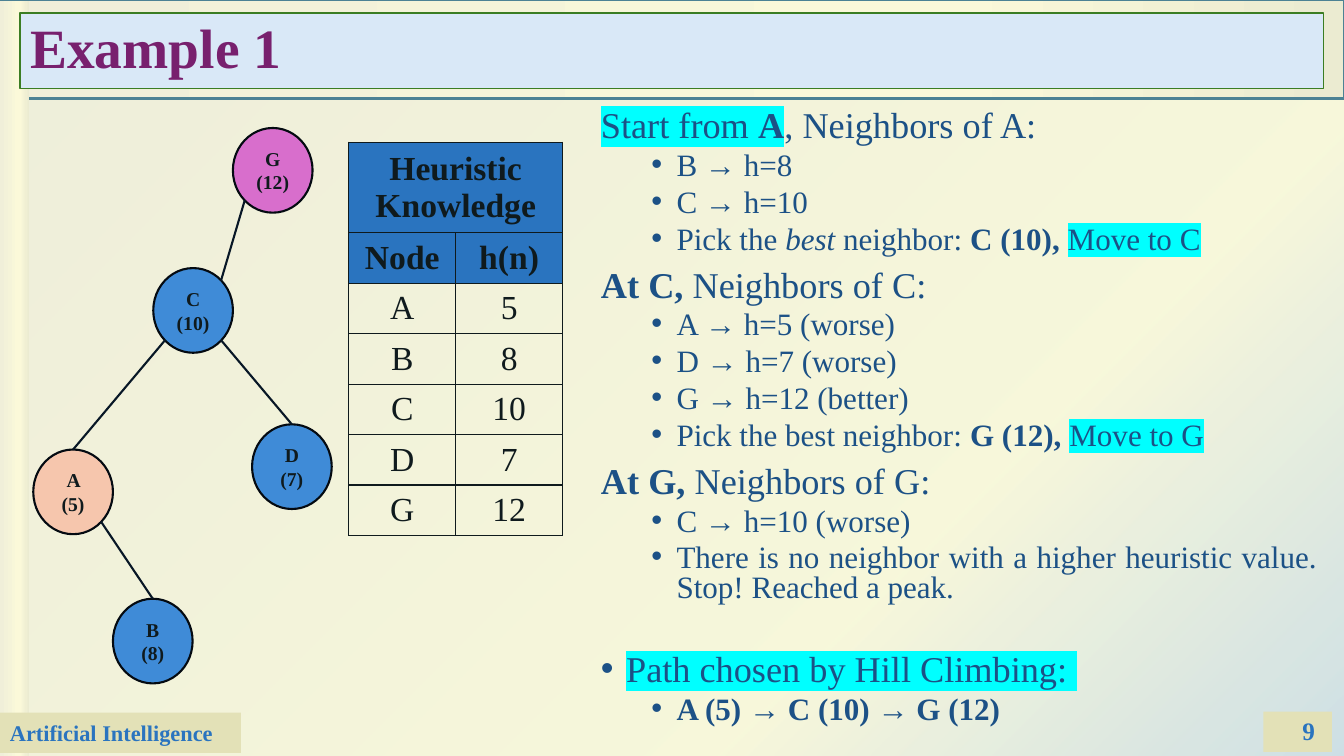
"""Build the hill climbing example slide with its search tree, heuristic table and steps."""
from lxml.etree import SubElement
from pptx import Presentation
from pptx.dml.color import RGBColor
from pptx.enum.shapes import MSO_CONNECTOR as CONNECTOR, MSO_SHAPE as SHAPE
from pptx.enum.text import MSO_ANCHOR as ANCHOR, MSO_AUTO_SIZE as AUTO_SIZE, PP_ALIGN as ALIGN
from pptx.oxml.ns import qn
from pptx.util import Inches, Pt

color = RGBColor.from_string
INK, BLUE, STEP, SAND, CYAN = "0F1A1D", "2A74BF", "1C5186", "E3E1B7", "00FFFF"


def add_xml(parent, tag, **attributes):
    return SubElement(parent, qn(tag), attributes)


def add_run(paragraph, words, size, ink, style=""):
    run = paragraph.add_run()
    run.text = words
    run.font.size = Pt(size)
    run.font.bold = "b" in style
    run.font.italic = "i" in style
    run.font.color.rgb = color(ink)
    if "h" in style:
        add_xml(add_xml(run.font._element, "a:highlight"), "a:srgbClr", val=CYAN)
    run.font.name = "Times New Roman"


deck = Presentation()
deck.slide_width, deck.slide_height = Inches(13.33), Inches(7.5)
slide = deck.slides.add_slide(deck.slide_layouts[1])
slide.background.fill.solid()
slide.background.fill.fore_color.rgb = color("D6E5EA")
heading, steps = slide.placeholders

panels = [
    (0, 0.01, 13.33, 7.49, [(0, "CDDFE5", 91), (30, "FBF9D9", 90), (100, "F0EFD9", 89)], "corner"),
    (0.01, -0.01, 13.33, 0.99, [(0, "EBEBD1", 100), (30, "FBF9D9", 100), (100, "F0EFD9", 100)], 180),
    (12.53, 7.06, 0.68, 0.4, SAND, None),
    (0, 0.01, 0.29, 7.49, [(0, "F0EFD9", 100), (66, "FBF9D9", 100), (100, "EBEBD1", 100)], 0),
    (0, 7.07, 2.39, 0.4, SAND, None),
]
for left, top, width, height, paint, direction in panels:
    panel = slide.shapes.add_shape(
        SHAPE.RECTANGLE, Inches(left), Inches(top), Inches(width), Inches(height))
    panel.shadow.inherit = False
    panel.line.fill.background()
    if direction is None:
        panel.fill.solid()
        panel.fill.fore_color.rgb = color(paint)
        continue
    panel.fill.gradient()
    gradient = panel.element.spPr.find(qn("a:gradFill"))
    stops = gradient.find(qn("a:gsLst"))
    stops.clear()
    for place, shade, opacity in paint:
        stop = add_xml(stops, "a:gs", pos=str(place * 1000))
        tint = add_xml(stop, "a:srgbClr", val=shade)
        add_xml(tint, "a:alpha", val=str(opacity * 1000))
    if direction == "corner":
        gradient.remove(gradient.find(qn("a:lin")))
        center = add_xml(gradient, "a:path", path="circle")
        add_xml(center, "a:fillToRect", l="100000", t="100000")
    else:
        panel.fill.gradient_angle = direction
    if direction == 180:
        panel.line.color.rgb = color("4C8294")
        panel.line.width = Pt(2.25)

course = panel.text_frame
course.vertical_anchor = ANCHOR.MIDDLE
course.paragraphs[0].alignment = ALIGN.LEFT
add_run(course.paragraphs[0], "Artificial Intelligence", 16, BLUE, "b")

tree = heading.element.getparent()
tree.append(heading.element)
tree.append(steps.element)

heading.left, heading.top, heading.width, heading.height = map(Inches, (0.2, 0.13, 12.93, 0.75))
heading.fill.solid()
heading.fill.fore_color.rgb = color("D9E8F7")
heading.line.color.rgb = color("3B7D23")
heading.line.width = Pt(1)
heading.text_frame.auto_size = AUTO_SIZE.NONE
heading.text_frame.vertical_anchor = ANCHOR.MIDDLE
title = heading.text_frame.paragraphs[0]
title.alignment = ALIGN.LEFT
title.line_spacing = 0.9
add_run(title, "Example 1", 39.6, "78206E", "b")

steps.left, steps.top, steps.width, steps.height = map(Inches, (5.86, 1.05, 7.31, 6.27))
steps.text_frame.auto_size = AUTO_SIZE.NONE
steps.text_frame.vertical_anchor = ANCHOR.TOP
lines = [
    ("head", 0, [("Start from ", "h"), ("A", "bh"), (", Neighbors of A:", "")]),
    ("item", 5, [("B → h=8", "")]),
    ("item", 5, [("C → h=10", "")]),
    ("item", 5, [("Pick the ", ""), ("best", "i"), (" neighbor: ", ""),
                 ("C (10), ", "b"), ("Move to C", "h")]),
    ("head", 10, [("At C, ", "b"), ("Neighbors of C:", "")]),
    ("item", 5, [("A → h=5 (worse)", "")]),
    ("item", 5, [("D → h=7 (worse)", "")]),
    ("item", 5, [("G → h=12 (better)", "")]),
    ("item", 5, [("Pick the best neighbor: ", ""), ("G (12), ", "b"), ("Move to G", "h")]),
    ("head", 10, [("At G, ", "b"), ("Neighbors of G:", "")]),
    ("item", 5, [("C → h=10 (worse)", "")]),
    ("item", 5, [("There is no neighbor with a higher heuristic value. Stop! Reached a peak.", "")]),
    ("result", 36, [("Path chosen by Hill Climbing: ", "h")]),
    ("item", 5, [("A (5) → C (10) → G (12)", "b")]),
]
margins = {"head": 0, "item": 0.75, "result": 0.25}
for number, (role, gap, pieces) in enumerate(lines):
    line = steps.text_frame.add_paragraph() if number else steps.text_frame.paragraphs[0]
    line.level = int(role == "item")
    line.alignment = ALIGN.JUSTIFY
    line.line_spacing = 0.8
    line.space_before = Pt(gap)
    layout = line._p.get_or_add_pPr()
    layout.set("marL", str(Inches(margins[role])))
    layout.set("indent", str(Inches(0 if role == "head" else -0.25)))
    if role == "head":
        add_xml(layout, "a:buNone")
    else:
        add_xml(layout, "a:buFont", typeface="Arial")
        add_xml(layout, "a:buChar", char="•")
    for words, style in pieces:
        add_run(line, words, 22.2 if role == "item" else 25.9, STEP, style)

page = slide.shapes.add_textbox(Inches(11.29), Inches(7.05), Inches(1.85), Inches(0.4)).text_frame
page.word_wrap = True
page.vertical_anchor = ANCHOR.MIDDLE
page.paragraphs[0].alignment = ALIGN.RIGHT
add_run(page.paragraphs[0], "9", 18, BLUE, "b")

heuristics = [("Heuristic Knowledge", ""), ("Node", "h(n)"),
              ("A", "5"), ("B", "8"), ("C", "10"), ("D", "7"), ("G", "12")]
knowledge = slide.shapes.add_table(
    len(heuristics), 2, Inches(3.46), Inches(1.41), Inches(2.12), Inches(3.66)).table
knowledge.first_row = knowledge.horz_banding = False
for column in knowledge.columns:
    column.width = Inches(1.06)
for row, entries in enumerate(heuristics):
    knowledge.rows[row].height = Inches(0.47 if row else 0.84)
    for column, words in enumerate(entries):
        cell = knowledge.cell(row, column)
        cell.vertical_anchor = ANCHOR.MIDDLE
        for side in ("a:lnL", "a:lnR", "a:lnT", "a:lnB"):
            border = add_xml(cell._tc.get_or_add_tcPr(), side, w=str(Pt(1)))
            add_xml(add_xml(border, "a:solidFill"), "a:srgbClr", val=INK)
        if row < 2:
            cell.fill.solid()
            cell.fill.fore_color.rgb = color(BLUE)
        else:
            cell.fill.background()
        if words:
            entry = cell.text_frame.paragraphs[0]
            entry.alignment = ALIGN.CENTER
            add_run(entry, words, 24, INK, "b" if row < 2 else "")
knowledge.cell(0, 0).merge(knowledge.cell(0, 1))

node_width, node_height = 0.79, 0.84
nodes = {
    "G": (2.31, 1.27, "G (12)", "D86ECC"),
    "C": (1.52, 2.66, "C (10)", "3F8BD7"),
    "A": (0.33, 4.46, "A (5)", "F6C6AD"),
    "B": (1.12, 5.94, "B (8)", "3F8BD7"),
    "D": (2.5, 4.21, "D (7)", "3F8BD7"),
}
for left, top, label, shade in nodes.values():
    node = slide.shapes.add_shape(
        SHAPE.OVAL, Inches(left), Inches(top), Inches(node_width), Inches(node_height))
    node.shadow.inherit = False
    node.fill.solid()
    node.fill.fore_color.rgb = color(shade)
    node.line.color.rgb = color("040A11")
    node.line.width = Pt(1.5)
    node.text_frame.word_wrap = True
    node.text_frame.vertical_anchor = ANCHOR.MIDDLE
    node.text_frame.paragraphs[0].alignment = ALIGN.CENTER
    add_run(node.text_frame.paragraphs[0], label, 14, INK, "b")

rim = {"top": (0.5, 0), "upper right": (0.85, 0.15),
       "lower left": (0.15, 0.85), "lower right": (0.85, 0.85)}
edges = [("G", "lower left", "C", "upper right"), ("C", "lower left", "A", "top"),
         ("A", "lower right", "B", "top"), ("C", "lower right", "D", "top")]
for start, start_rim, end, end_rim in edges:
    ends = []
    for name, spot in ((start, start_rim), (end, end_rim)):
        across, down = rim[spot]
        ends += [Inches(nodes[name][0] + across * node_width),
                 Inches(nodes[name][1] + down * node_height)]
    edge = slide.shapes.add_connector(CONNECTOR.STRAIGHT, *ends)
    edge.line.color.rgb = color("081726")
    edge.line.width = Pt(1.5)
    add_xml(edge.element.spPr, "a:effectLst")

deck.save("out.pptx")
